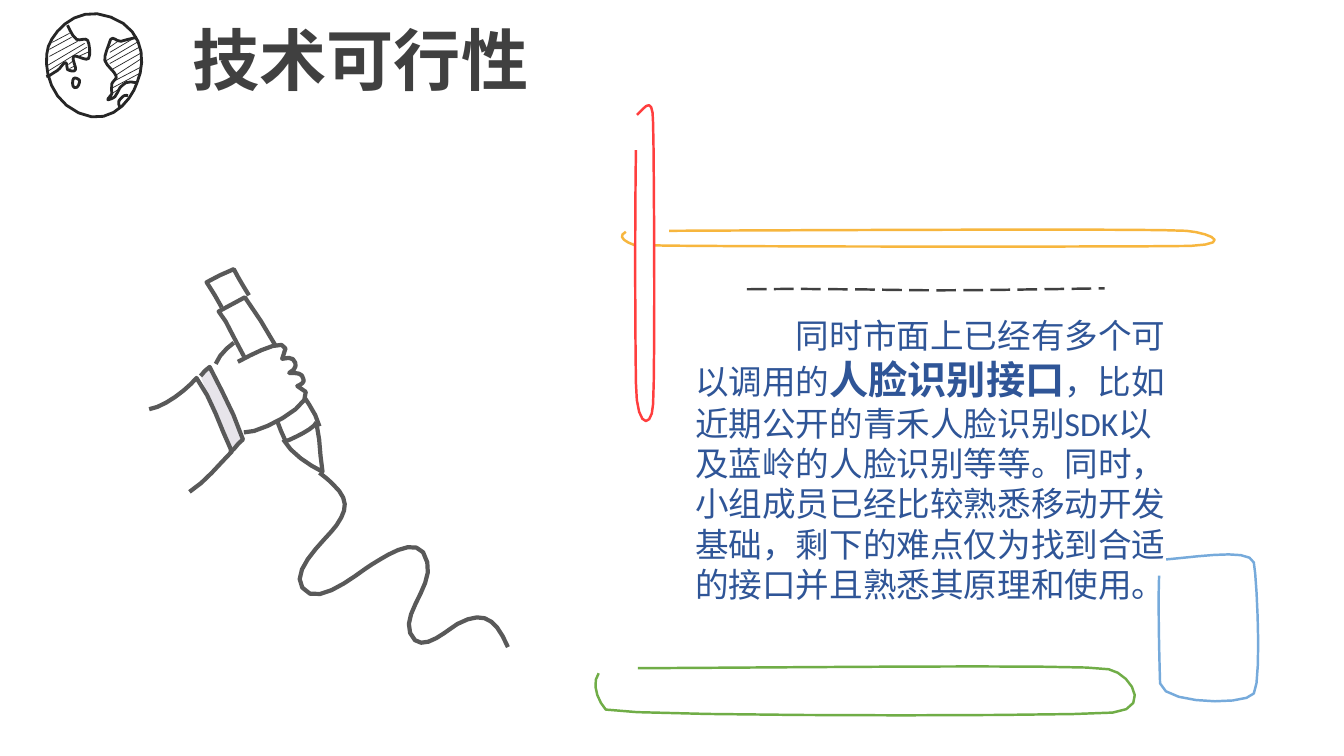
"""Build the slide on technical feasibility: globe, title, hand with microphone, marker strokes and text."""
from math import ceil, hypot, sqrt

from lxml.etree import SubElement
from pptx import Presentation
from pptx.dml.color import RGBColor
from pptx.enum.dml import MSO_LINE
from pptx.enum.shapes import MSO_CONNECTOR
from pptx.oxml.ns import qn
from pptx.util import Cm, Pt

INK = RGBColor(0x26, 0x26, 0x26)
GRAY = RGBColor(0x59, 0x59, 0x59)
CHARCOAL = RGBColor(0x40, 0x40, 0x40)
WHITE = RGBColor(0xFF, 0xFF, 0xFF)
CUFF = RGBColor(0xE7, 0xE4, 0xEA)
YELLOW = RGBColor(0xF7, 0xB6, 0x3E)
RED = RGBColor(0xFF, 0x3E, 0x3E)
SKY = RGBColor(0x76, 0xAA, 0xDB)
GREEN = RGBColor(0x70, 0xAD, 0x47)
NAVY = RGBColor(0x2F, 0x55, 0x97)

FONT = "Calibri"
UNIT = Cm(0.0254)
TOLERANCE = 0.5
MOST_STEPS = 7

TITLE = "技术可行性"
BODY = [
    [
        ("同时市⾯上已经有多个可以调⽤的", 24, False),
        ("⼈脸识别接⼝", 28, True),
        ("，⽐如近期公开的青禾⼈脸识别SDK以及蓝岭的⼈脸识别等等。"
         "同时，⼩组成员已经⽐较熟悉移动开发基础，剩下的难点仅为找到合适", 24, False),
    ],
    [("的接⼝并且熟悉其原理和使⽤。", 24, False)],
]

# Outlines: start point, then curves (six numbers) or straight sides (two), in UNIT.
GLOBE = [
    [(48, 46), (54, 30, 77, 4, 110, 17), (143, 29, 145, 61, 136, 82),
     (131, 98, 110, 127, 78, 112), (46, 97, 43, 62, 48, 46)],
    [(67, 25), (70, 31, 72, 36, 76, 39), (79, 41, 85, 37, 87, 40),
     (89, 43, 90, 55, 88, 58), (85, 61, 76, 54, 73, 56), (71, 58, 76, 67, 75, 69),
     (74, 72, 69, 70, 67, 69), (66, 67, 67, 62, 65, 62), (63, 62, 60, 68, 57, 70),
     (53, 72, 49, 76, 46, 76)],
    [(73, 78), (74, 76, 79, 79, 79, 80), (79, 82, 78, 88, 74, 87), (71, 86, 72, 79, 73, 78)],
    [(136, 37), (130, 38, 124, 40, 120, 41), (116, 41, 114, 38, 112, 38),
     (110, 39, 110, 38, 109, 41), (108, 45, 103, 55, 104, 60), (106, 66, 114, 71, 115, 75),
     (117, 78, 112, 80, 111, 83), (110, 87, 111, 91, 111, 93), (110, 96, 106, 98, 107, 99),
     (107, 99, 112, 98, 114, 96), (116, 94, 117, 90, 119, 87), (121, 85, 123, 83, 125, 82),
     (128, 81, 131, 81, 135, 82)],
    [(127, 95), (126, 95, 125, 94, 123, 95), (122, 96, 119, 98, 118, 100),
     (117, 102, 118, 104, 119, 107)],
]
HATCHES = [
    (114, 80, 139, 67), (104, 61, 136, 42), (52, 42, 69, 33), (116, 74, 139, 59),
    (47, 71, 86, 47), (111, 69, 141, 52), (109, 63, 138, 47), (109, 52, 131, 39),
    (78, 56, 89, 51), (49, 56, 77, 41), (112, 87, 140, 72), (108, 95, 117, 89),
    (107, 48, 117, 41), (49, 49, 71, 37), (47, 65, 84, 43), (68, 64, 73, 60),
    (69, 68, 75, 65),
]
MICROPHONE = [
    (None, [(317, 469), (322, 473, 325, 475, 330, 480), (346, 495, 345, 505, 334, 521),
            (326, 533, 287, 565, 300, 583), (314, 605, 357, 567, 369, 560),
            (384, 551, 418, 527, 424, 558), (430, 581, 399, 608, 407, 628),
            (416, 651, 441, 627, 454, 619), (480, 605, 492, 614, 504, 642)]),
    (WHITE, [(317, 423), (314, 411, 307, 402, 300, 391), (282, 359, 265, 325, 243, 295),
             (217, 309), (224, 319), (233, 337, 260, 387, 269, 404),
             (275, 415, 278, 428, 284, 439)]),
    (None, [(314, 419), (312, 425, 291, 435, 283, 438)]),
    (None, [(214, 361), (217, 353, 225, 345, 232, 340)]),
    (WHITE, [(236, 359), (237, 359, 298, 323, 280, 356), (288, 354, 291, 355, 293, 360),
             (294, 363, 293, 367, 287, 370), (295, 370, 300, 370, 301, 376),
             (303, 379, 298, 382, 295, 383), (328, 393, 259, 431, 242, 429)]),
    (CUFF, [(199, 373), (201, 370, 205, 366, 208, 364), (220, 388, 233, 411, 241, 436),
            (236, 439, 233, 446, 228, 449)]),
    (None, [(148, 406), (163, 404, 186, 386, 195, 375), (211, 397, 218, 423, 230, 448),
            (217, 461, 204, 478, 188, 488)]),
    (None, [(247, 293), (242, 285, 236, 275, 232, 267), (223, 271, 213, 275, 205, 280),
            (210, 288, 216, 297, 220, 305)]),
    (None, [(281, 436), (289, 450, 306, 461, 320, 468), (317, 452, 318, 436, 314, 420)]),
]
DASHES = [(741, 287), (772, 287, 803, 286, 835, 287), (867, 287, 889, 288, 932, 288),
          (976, 288, 1036, 287, 1096, 286)]
MARKERS = [
    (YELLOW, [(664, 229), (872, 228, 1154, 227, 1177, 229), (1200, 231, 1225, 242, 1181, 244),
              (1138, 245, 647, 245, 629, 243), (618, 239, 613, 234, 621, 230)]),
    (RED, [(632, 114), (639, 108, 648, 92, 648, 122), (649, 152, 650, 375, 648, 401),
           (647, 426, 631, 426, 631, 380), (630, 314, 630, 210, 631, 149)]),
    (SKY, [(1157, 555), (1192, 552, 1240, 544, 1244, 558), (1247, 572, 1252, 676, 1244, 688),
           (1237, 700, 1154, 699, 1151, 678), (1150, 647, 1149, 599, 1150, 571)]),
    (GREEN, [(633, 663), (823, 662, 1080, 659, 1100, 664), (1121, 668, 1144, 703, 1104, 707),
             (1064, 711, 618, 711, 601, 704), (592, 694, 587, 677, 594, 668)]),
]


def count_steps(controls):
    """Return how many straight steps keep a curve within the tolerance."""
    bend = max(hypot(*(a - 2 * b + c for a, b, c in zip(*controls[i:i + 3]))) for i in (0, 1))
    return min(MOST_STEPS, max(1, ceil(sqrt(0.75 * bend / TOLERANCE))))


def trace(outline):
    """Return the points along an outline."""
    points = [outline[0]]
    for segment in outline[1:]:
        if len(segment) == 2:
            points.append(segment)
            continue
        controls = [points[-1], segment[:2], segment[2:4], segment[4:]]
        steps = count_steps(controls)
        for step in range(1, steps + 1):
            t = step / steps
            weights = ((1 - t) ** 3, 3 * t * (1 - t) ** 2, 3 * t * t * (1 - t), t ** 3)
            points.append(tuple(sum(w * c[axis] for w, c in zip(weights, controls))
                                for axis in (0, 1)))
    return [(round(x * UNIT), round(y * UNIT)) for x, y in points]


def draw(shapes, outline, color, width, fill=None):
    """Draw one hand-drawn stroke and return it."""
    points = trace(outline)
    builder = shapes.build_freeform(*points[0], scale=1.0)
    builder.add_line_segments(points[1:], close=points[0] == points[-1])
    stroke = builder.convert_to_shape()
    stroke.shadow.inherit = False
    stroke.line.color.rgb = color
    stroke.line.width = Pt(width)
    if fill is None:
        stroke.fill.background()
    else:
        stroke.fill.solid()
        stroke.fill.fore_color.rgb = fill
    return stroke


def write(page, place, paragraphs, color, wrap):
    """Add a text box and return its paragraphs."""
    box = page.shapes.add_textbox(*(Cm(length) for length in place))
    frame = box.text_frame
    frame.word_wrap = wrap
    for index, spans in enumerate(paragraphs):
        para = frame.add_paragraph() if index else frame.paragraphs[0]
        for text, size, bold in spans:
            span = para.add_run()
            span.text = text
            span.font.name = FONT
            span.font.size = Pt(size)
            span.font.bold = bold
            span.font.color.rgb = color
    return frame.paragraphs


def main():
    """Build and save the deck."""
    deck = Presentation()
    deck.slide_width, deck.slide_height = Cm(33.87), Cm(19.05)
    page = deck.slides.add_slide(deck.slide_layouts[6])

    globe = page.shapes.add_group_shape().shapes
    for outline in GLOBE:
        draw(globe, outline, INK, 2)
    for ends in HATCHES:
        hatch = globe.add_connector(MSO_CONNECTOR.STRAIGHT, *(end * UNIT for end in ends))
        hatch.line.color.rgb = INK
        hatch.line.width = Pt(0.5)
        SubElement(hatch._element.spPr, qn("a:effectLst"))

    write(page, (4.6, 0.33, 9.07, 2.31), [[(TITLE, 48, True)]], CHARCOAL, False)

    microphone = page.shapes.add_group_shape().shapes
    for fill, outline in MICROPHONE:
        draw(microphone, outline, GRAY, 3, fill)

    draw(page.shapes, DASHES, CHARCOAL, 1.75).line.dash_style = MSO_LINE.LONG_DASH
    for color, outline in MARKERS:
        draw(page.shapes, outline, color, 1.75, WHITE)

    opening = write(page, (17.27, 7.82, 12.55, 7.62), BODY, NAVY, True)[0]
    opening._p.get_or_add_pPr().set("indent", str(Cm(2.54)))

    deck.save("out.pptx")


if __name__ == "__main__":
    main()
